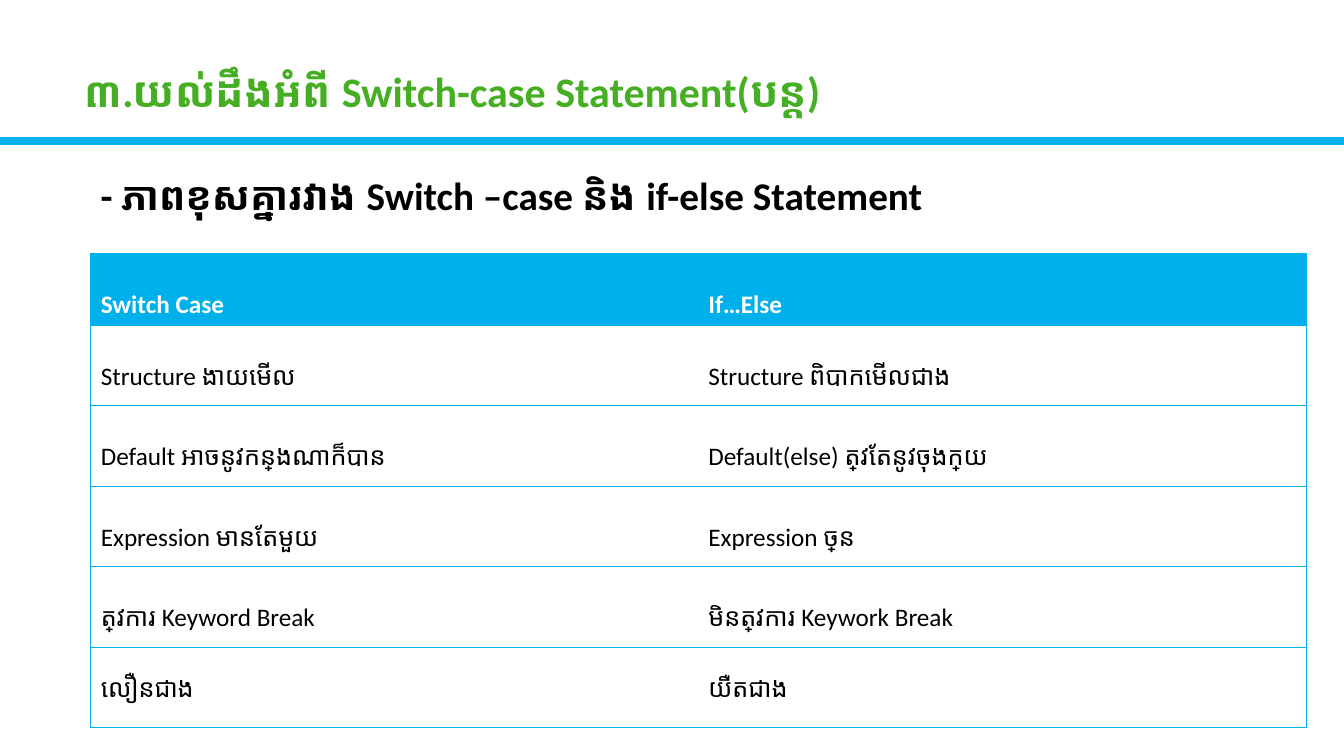
from pptx import Presentation, util as u
from pptx.dml import color as c
from pptx.enum import shapes, text
from pptx.oxml import ns, xmlchemy as x

Pt = u.Pt
theme = {
    "font": "Calibri",
    "blue": "00B0EA", "green": "45AE22", "black": "000000", "white": "FFFFFF",
    "title": 30, "head": 28, "cell": 18,
    "rule": 6, "edge": 0.5,
}


def style(part, words, size, ink, bold):
    run = part.add_run()
    run.text = words
    form = {"name": theme["font"], "size": Pt(theme[size]), "bold": bold}
    for key, val in form.items():
        setattr(run.font, key, val)
    run.font.color.rgb = c.RGBColor.from_string(theme[ink])


def edge(cell, side, shown):
    props = cell._tc.get_or_add_tcPr()
    line = x.OxmlElement(f"a:ln{side}")
    line.set("w", str(Pt(theme["edge"])))
    if shown:
        fill = x.OxmlElement("a:solidFill")
        tint = x.OxmlElement("a:srgbClr")
        tint.set("val", theme["blue"])
        fill.append(tint)
    else:
        fill = x.OxmlElement("a:noFill")
    line.append(fill)
    props.append(line)


deck = Presentation()
deck.slide_width, deck.slide_height = Pt(960), Pt(540)
slide = deck.slides.add_slide(deck.slide_layouts[6])

# Rule under the title
rule = slide.shapes.add_connector(
    shapes.MSO_CONNECTOR.STRAIGHT, Pt(0), Pt(100.8), Pt(960), Pt(100.8))
rule.line.color.rgb = c.RGBColor.from_string(theme["blue"])
rule.line.width = Pt(theme["rule"])
rule._element.find(ns.qn("p:spPr")).append(x.OxmlElement("a:effectLst"))

# Comparison table
rows = [
    ("Switch Case", "If…Else"),
    ("Structure ងាយមើល", "Structure ពិបាកមើលជាង"),
    ("Default អាចនូវកន្លែងណាក៏បាន", "Default(else) ត្រូវតែនូវចុងក្រោយ"),
    ("Expression មានតែមួយ", "Expression ច្រើន"),
    ("ត្រូវការ Keyword Break", "មិនត្រូវការ Keywork Break"),
    ("លឿនជាង", "យឺតជាង"),
]
grid = slide.shapes.add_table(
    len(rows), 2, Pt(64.8), Pt(181.2), Pt(868), Pt(328)).table
grid.horz_banding = False
for col in grid.columns:
    col.width = Pt(434)
for i, row in enumerate(rows):
    top = i == 0
    grid.rows[i].height = Pt(40.3 if top else 57.5)
    for j, words in enumerate(row):
        cell = grid.cell(i, j)
        sides = {"L": j == 0, "R": j == 1, "T": True, "B": True}
        for side, shown in sides.items():
            edge(cell, side, shown)
        if top:
            cell.fill.solid()
            cell.fill.fore_color.rgb = c.RGBColor.from_string(theme["blue"])
        else:
            cell.fill.background()
        para = cell.text_frame.paragraphs[0]
        para.line_spacing = 2.0
        style(para, words, "cell", "white" if top else "black", top)

# Title and heading
lines = [
    ("៣.យល់ដឹងអំពី Switch-case Statement(បន្ត)", "title", "green",
     (53.3, 43.2, 563, 43.9)),
    ("- ភាពខុសគ្នារវាង Switch –case និង if-else Statement", "head", "black",
     (64.8, 118.8, 633.6, 41)),
]
for words, size, ink, place in lines:
    frame = slide.shapes.add_textbox(*map(Pt, place)).text_frame
    frame.word_wrap = False
    frame.auto_size = text.MSO_AUTO_SIZE.SHAPE_TO_FIT_TEXT
    style(frame.paragraphs[0], words, size, ink, True)

deck.save("out.pptx")
